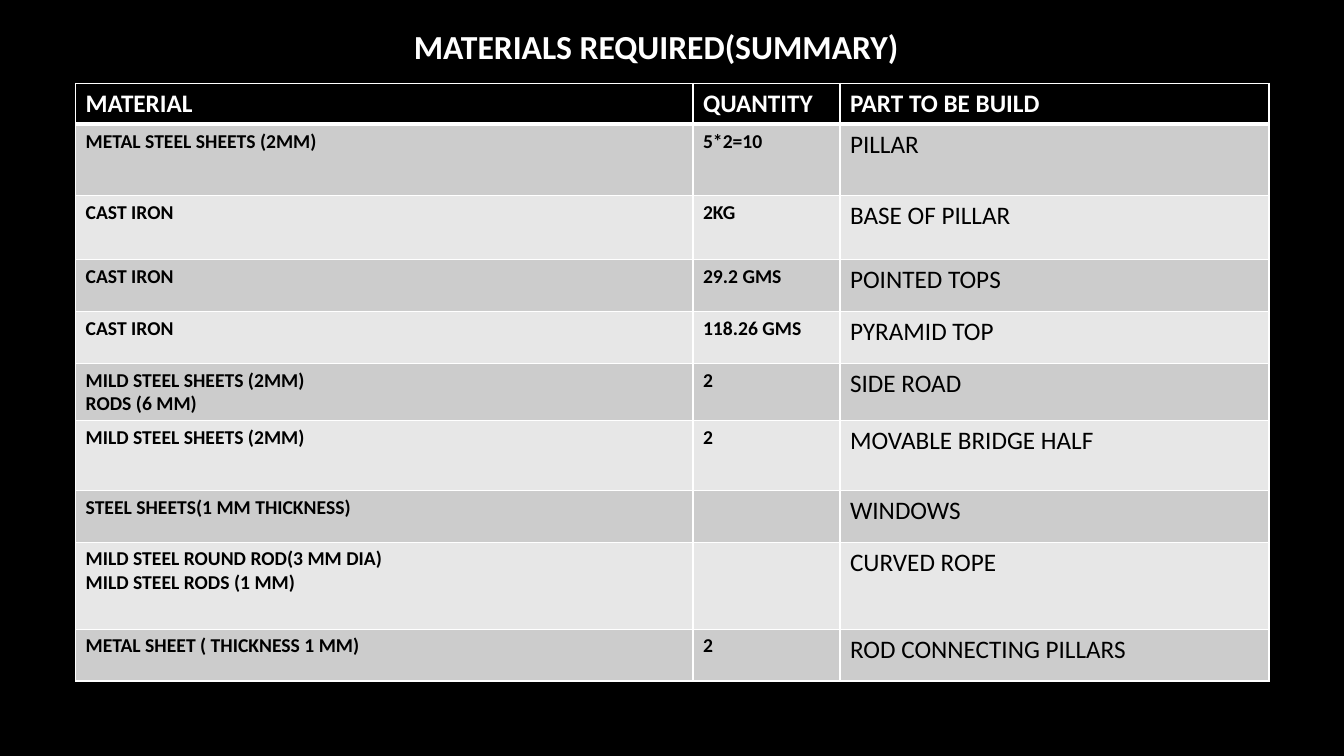
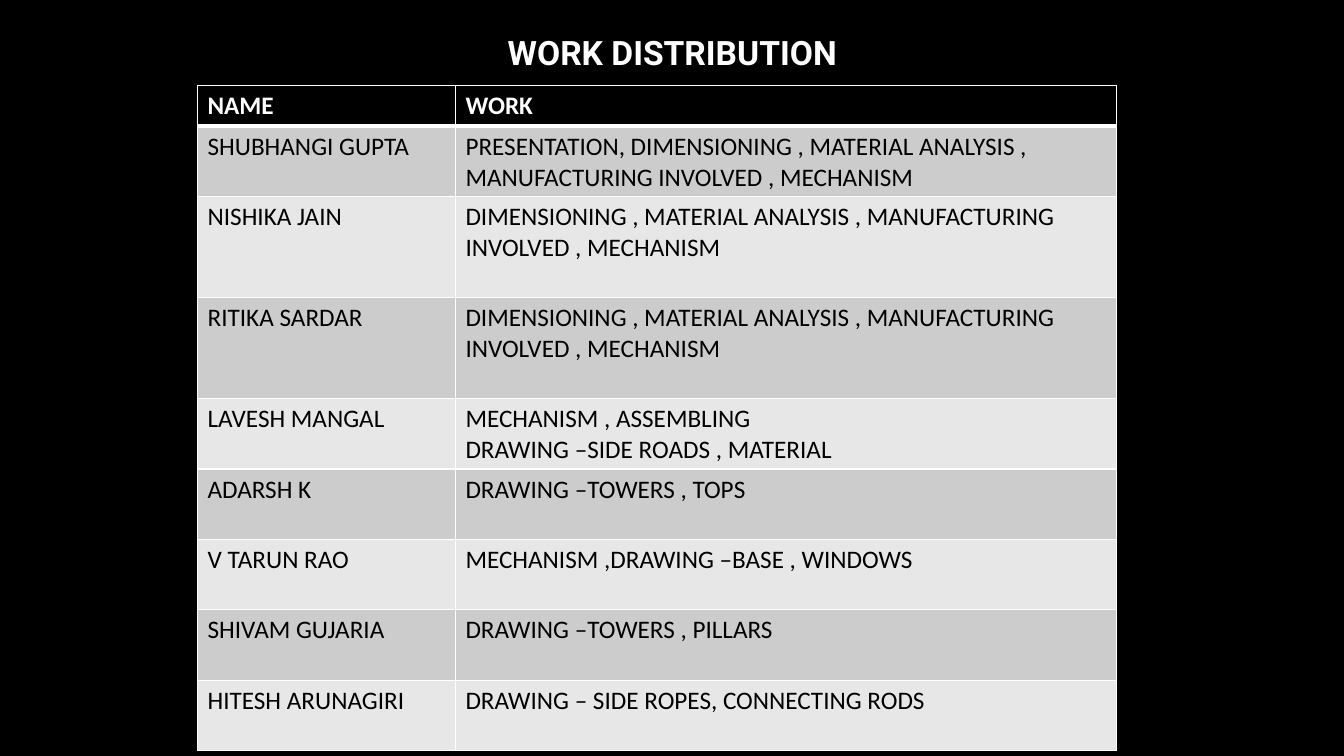
from lxml.etree import SubElement
from pptx import Presentation
from pptx.dml.color import RGBColor
from pptx.enum.text import PP_ALIGN
from pptx.oxml import parse_xml
from pptx.oxml.ns import nsdecls
from pptx.util import Pt

COLORS = {
    "background": "000000",
    "header": "000000",
    "light_text": "FFFFFF",
    "dark_text": "000000",
    "odd_row": "CCCCCC",
    "even_row": "E7E7E7",
    "border": "FFFFFF",
}

MATERIALS = [
    ("MATERIAL", "QUANTITY", "PART TO BE BUILD"),
    ("METAL STEEL SHEETS (2MM)", "5*2=10", "PILLAR"),
    ("CAST IRON", "2KG", "BASE OF PILLAR"),
    ("CAST IRON", "29.2 GMS", "POINTED TOPS"),
    ("CAST IRON", "118.26 GMS", "PYRAMID TOP"),
    ("MILD STEEL SHEETS (2MM)\nRODS (6 MM)", "2", "SIDE ROAD"),
    ("MILD STEEL SHEETS (2MM)", "2", "MOVABLE BRIDGE HALF"),
    ("STEEL SHEETS(1 MM THICKNESS)", "", "WINDOWS"),
    ("MILD STEEL ROUND ROD(3 MM DIA)\nMILD STEEL RODS (1 MM)", "", "CURVED ROPE"),
    ("METAL SHEET ( THICKNESS 1 MM)", "2", "ROD CONNECTING PILLARS"),
]

SHARED_WORK = "DIMENSIONING , MATERIAL ANALYSIS , MANUFACTURING INVOLVED , MECHANISM"
WORK = [
    ("NAME", "WORK"),
    ("SHUBHANGI GUPTA", "PRESENTATION, " + SHARED_WORK),
    ("NISHIKA JAIN", SHARED_WORK),
    ("RITIKA SARDAR", SHARED_WORK),
    ("LAVESH MANGAL", "MECHANISM , ASSEMBLING\nDRAWING –SIDE ROADS , MATERIAL"),
    ("ADARSH K", "DRAWING –TOWERS , TOPS"),
    ("V TARUN RAO", "MECHANISM ,DRAWING –BASE , WINDOWS"),
    ("SHIVAM GUJARIA", "DRAWING –TOWERS , PILLARS"),
    ("HITESH ARUNAGIRI", "DRAWING – SIDE ROPES, CONNECTING RODS"),
]


class Deck:
    """Holds the shared style and the slide being built."""

    font = "Calibri"
    title_size = 24
    body_size = 18

    def __init__(self):
        self.prs = Presentation()
        self.prs.slide_width, self.prs.slide_height = Pt(960), Pt(540)

    def color(self, name):
        return RGBColor.from_string(COLORS[name])

    def add_slide(self):
        self.s = self.prs.slides.add_slide(self.prs.slide_layouts[6])
        fill = self.s.background.fill
        fill.solid()
        fill.fore_color.rgb = self.color("background")

    def style_text(self, tf, size, color, bold, font=font):
        for p in tf.paragraphs:
            for r in p.runs:
                r.font.name = font
                r.font.size = Pt(size)
                r.font.bold = bold
                r.font.color.rgb = self.color(color)

    def title(self, text, left, top, width, font=font):
        tf = self.s.shapes.add_textbox(Pt(left), Pt(top), Pt(width), Pt(36)).text_frame
        tf.word_wrap = True
        tf.text = text
        tf.paragraphs[0].alignment = PP_ALIGN.CENTER
        self.style_text(tf, self.title_size, "light_text", True, font)

    def borders(self, cell, top, bottom):
        tcPr = cell._tc.get_or_add_tcPr()
        widths = {"L": 1, "R": 1, "T": top, "B": bottom}
        for i, (side, width) in enumerate(widths.items()):
            ln = parse_xml(
                f'<a:ln{side} {nsdecls("a")} w="{Pt(width)}"><a:solidFill>'
                f'<a:srgbClr val="{COLORS["border"]}"/></a:solidFill></a:ln{side}>'
            )
            tcPr.insert(i, ln)

    def cell(self, cell, text, row, size, bold):
        header = row == 0
        cell.text_frame.text = text
        if header:
            self.style_text(cell.text_frame, self.body_size, "light_text", True)
        else:
            self.style_text(cell.text_frame, size, "dark_text", bold)
        cell.fill.solid()
        band = "header" if header else "odd_row" if row % 2 else "even_row"
        cell.fill.fore_color.rgb = self.color(band)
        self.borders(cell, 3 if row == 1 else 1, 3 if header else 1)

    def table(self, rows, left, top, widths, heights, small_bold_columns=0):
        table = self.s.shapes.add_table(
            len(rows), len(widths), Pt(left), Pt(top), Pt(sum(widths)), Pt(sum(heights))
        ).table
        for column, width in zip(table.columns, widths):
            column.width = Pt(width)
        for i, (texts, height) in enumerate(zip(rows, heights)):
            table.rows[i].height = Pt(height)
            for j, text in enumerate(texts):
                small = j < small_bold_columns
                self.cell(table.cell(i, j), text, i, 14 if small else self.body_size, small)


def main():
    deck = Deck()

    deck.add_slide()
    deck.title("MATERIALS REQUIRED(SUMMARY)", 180, 15.1, 577.4)
    deck.table(
        MATERIALS, 54, 59.6, [441, 105, 306.5],
        [29.2, 50.8, 46, 37, 37, 41, 49.7, 37, 62.2, 37], small_bold_columns=2,
    )

    deck.add_slide()
    deck.title("WORK DISTRIBUTION", 162.7, 19.4, 635, "Roboto")
    deck.table(
        WORK, 141.1, 61, [184.2, 472.4], [29.2, 50.3] + [72] * 2 + [50.3] * 5,
    )

    deck.prs.save("out.pptx")


if __name__ == "__main__":
    main()
